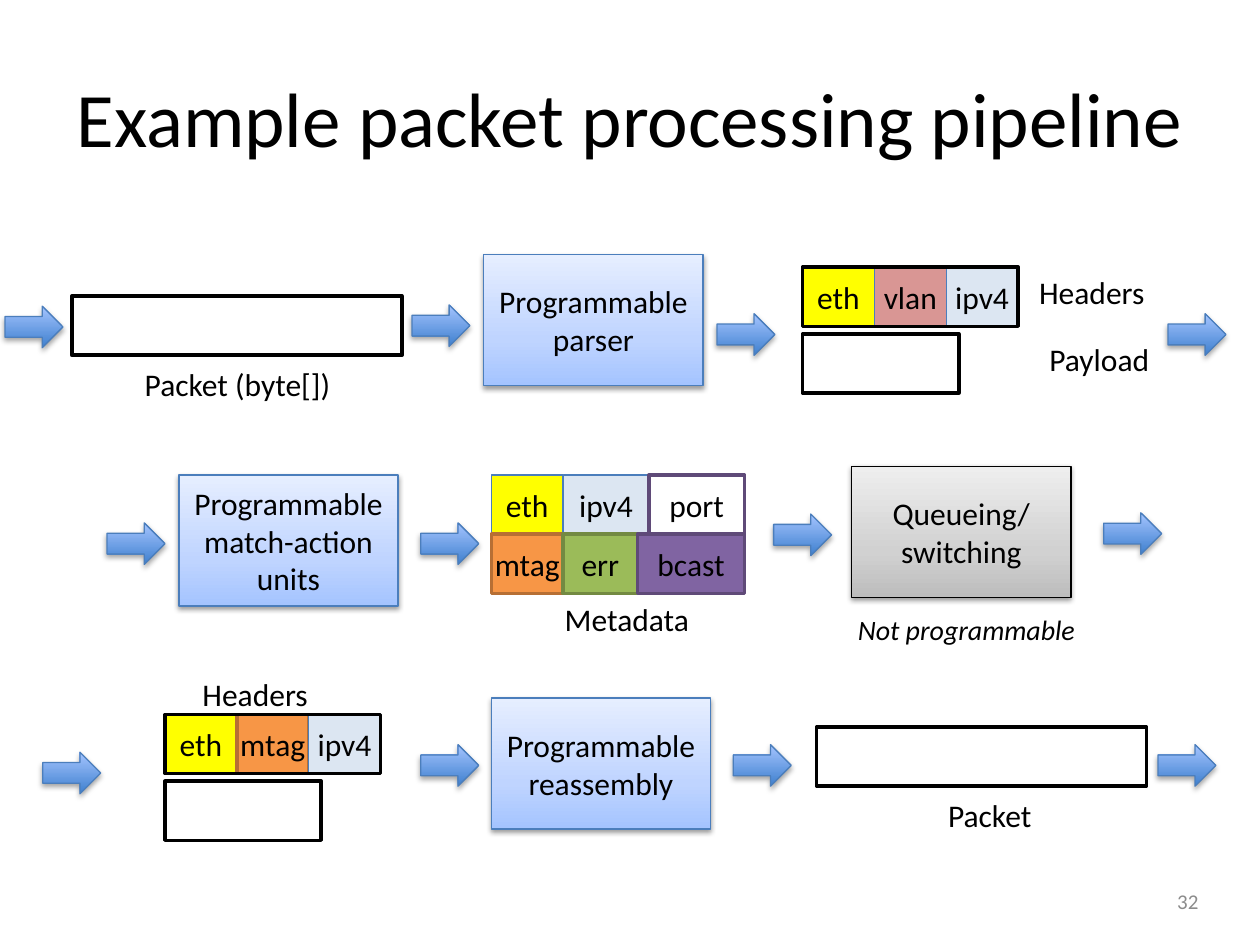
from lxml import etree
from pptx import Presentation
from pptx.dml.color import RGBColor
from pptx.enum.shapes import MSO_SHAPE
from pptx.enum.text import MSO_ANCHOR, PP_ALIGN
from pptx.oxml.ns import qn
from pptx.util import Inches, Pt

RECTANGLE, ARROW = MSO_SHAPE.RECTANGLE, MSO_SHAPE.RIGHT_ARROW
TOP, MIDDLE = MSO_ANCHOR.TOP, MSO_ANCHOR.MIDDLE
LEFT, CENTER, RIGHT = PP_ALIGN.LEFT, PP_ALIGN.CENTER, PP_ALIGN.RIGHT

FONT = "Calibri"
BLACK, WHITE, BLUE_LINE = "000000", "FFFFFF", "4B7EBC"
ARROW_STOPS = [(0, "3F80CE"), (100, "A4C4FF")]
BLUE_STOPS = [(0, "A4C4FF"), (35, "BFD4FF"), (100, "E6EEFF")]
GRAY_STOPS = [(0, "BDBDBD"), (35, "D1D1D1"), (100, "EEEEEE")]
CELL_WIDTH, CELL_HEIGHT = 0.57, 0.47
STAGE_WIDTH, STAGE_HEIGHT = 1.74, 1.04

# Field name: fill, line colour, line width
FIELDS = {
    "eth": ("FFFF00", BLUE_LINE, 0.75),
    "vlan": ("D99694", BLUE_LINE, 0.75),
    "ipv4": ("DCE6F2", BLUE_LINE, 0.75),
    "mtag": ("F79646", "B76F34", 2),
    "err": ("9BBB59", "738A42", 2),
    "bcast": ("8064A2", "5F4A78", 2),
    "port": (None, "5F4A78", 2),
}


def color(value):
    return RGBColor.from_string(value)


def write_text(shape, text, size=18, font_color=BLACK, align=CENTER,
               anchor=MIDDLE, italic=False, wrap=True):
    frame = shape.text_frame
    frame.word_wrap = wrap
    frame.vertical_anchor = anchor
    frame.text = text
    for paragraph in frame.paragraphs:
        paragraph.alignment = align
        font = paragraph.font
        font.name, font.size, font.italic = FONT, Pt(size), italic
        font.color.rgb = color(font_color)


def add_label(slide, left, top, width, height, text, **text_format):
    box = slide.shapes.add_textbox(Inches(left), Inches(top), Inches(width), Inches(height))
    write_text(box, text, **text_format)


def add_caption(slide, left, top, width, text, **text_format):
    add_label(slide, left, top, width, 0.4, text, anchor=TOP, wrap=False, **text_format)


def add_box(slide, left, top, width, height, fill=WHITE, line=BLACK, line_width=2, kind=RECTANGLE):
    shape = slide.shapes.add_shape(kind, Inches(left), Inches(top), Inches(width), Inches(height))
    shape.shadow.inherit = False
    if fill:
        shape.fill.solid()
        shape.fill.fore_color.rgb = color(fill)
    else:
        shape.fill.background()
    shape.line.color.rgb = color(line)
    shape.line.width = Pt(line_width)
    return shape


def set_gradient(shape, stops):
    """Fill from bottom to top with (percent, colour) stops."""
    shape.fill.gradient()
    shape.fill.gradient_angle = 90
    stop_list = shape._element.spPr.find(".//" + qn("a:gsLst"))
    for stop in list(stop_list):
        stop_list.remove(stop)
    for percent, value in stops:
        stop = etree.SubElement(stop_list, qn("a:gs"), pos=str(percent * 1000))
        etree.SubElement(stop, qn("a:srgbClr"), val=value)


def set_shadow(shape, opacity, distance):
    effects = shape._element.spPr.find(qn("a:effectLst"))
    shadow = etree.SubElement(
        effects, qn("a:outerShdw"), blurRad=str(Pt(3.1)), dist=str(Pt(distance)),
        dir="5400000", rotWithShape="0")
    shade = etree.SubElement(shadow, qn("a:srgbClr"), val=BLACK)
    etree.SubElement(shade, qn("a:alpha"), val=str(opacity * 1000))


def add_arrow(slide, left, top):
    arrow = add_box(slide, left, top, 0.46, 0.33, line=BLUE_LINE, line_width=0.75, kind=ARROW)
    set_gradient(arrow, ARROW_STOPS)
    set_shadow(arrow, 35, 1.8)


def add_stage(slide, left, top, text, stops=BLUE_STOPS, line=BLUE_LINE):
    stage = add_box(slide, left, top, STAGE_WIDTH, STAGE_HEIGHT, line=line, line_width=0.75)
    set_gradient(stage, stops)
    set_shadow(stage, 38, 1.6)
    write_text(stage, text)


def add_fields(slide, left, top, fields):
    """Place (name, width) cells side by side."""
    for name, width in fields:
        cell = add_box(slide, left, top, width, CELL_HEIGHT, *FIELDS[name])
        write_text(cell, name, wrap=False)
        left += width


def add_headers_and_payload(slide, left, top, names):
    add_fields(slide, left, top, [(name, CELL_WIDTH) for name in names])
    add_box(slide, left, top, CELL_WIDTH * len(names), CELL_HEIGHT, fill=None)
    add_box(slide, left, top + 0.53, 1.24, CELL_HEIGHT)


def add_metadata(slide, left, top):
    add_fields(slide, left, top, [("eth", CELL_WIDTH), ("ipv4", 0.68), ("port", 0.76)])
    add_fields(slide, left, top + CELL_HEIGHT,
               [("mtag", CELL_WIDTH), ("err", 0.59), ("bcast", 0.85)])
    add_caption(slide, left + 0.47, top + 2 * CELL_HEIGHT, 1.21, "Metadata")


def add_packet(slide, left, top, text, text_left, text_width):
    add_box(slide, left, top, 2.62, CELL_HEIGHT)
    add_caption(slide, left + text_left, top + 0.5, text_width, text)


def add_parsing_row(slide, left, top):
    for x, y in [(0, 0.41), (3.23, 0.4), (5.65, 0.47), (9.23, 0.47)]:
        add_arrow(slide, left + x, top + y)
    add_packet(slide, left + 0.53, top + 0.33, "Packet (byte[])", 0.46, 1.71)
    add_stage(slide, left + 3.8, top, "Programmable\nparser")
    add_headers_and_payload(slide, left + 6.33, top + 0.1, ["eth", "vlan", "ipv4"])
    add_caption(slide, left + 8.1, top + 0.1, 1.05, "Headers")
    add_caption(slide, left + 8.18, top + 0.63, 1.01, "Payload")


def add_matching_row(slide, left, top):
    for x, y in [(0, 0.45), (2.49, 0.45), (5.29, 0.38), (7.91, 0.37)]:
        add_arrow(slide, left + x, top + y)
    add_stage(slide, left + 0.57, top + 0.07, "Programmable\nmatch-action\nunits")
    add_metadata(slide, left + 3.05, top + 0.07)
    add_stage(slide, left + 5.91, top, "Queueing/\nswitching", GRAY_STOPS, BLACK)
    add_caption(slide, left + 5.86, top + 1.11, 1.95, "Not programmable",
                size=16, italic=True, align=LEFT)


def add_reassembly_row(slide, left, top):
    for x, y in [(0, 0.66), (3, 0.6), (5.48, 0.6), (8.85, 0.6)]:
        add_arrow(slide, left + x, top + y)
    add_caption(slide, left + 1.16, top, 1.05, "Headers")
    add_headers_and_payload(slide, left + 0.97, top + 0.36, ["eth", "mtag", "ipv4"])
    add_stage(slide, left + 3.56, top + 0.23, "Programmable\nreassembly")
    add_packet(slide, left + 6.14, top + 0.46, "Packet", 0.93, 0.89)


def main():
    presentation = Presentation()
    presentation.slide_width, presentation.slide_height = Inches(10), Inches(7.5)
    slide = presentation.slides.add_slide(presentation.slide_layouts[6])
    add_label(slide, 0.5, 0.3, 9, 1.25, "Example packet processing pipeline", size=44)
    add_parsing_row(slide, 0.04, 2.02)
    add_matching_row(slide, 0.85, 3.7)
    add_reassembly_row(slide, 0.34, 5.31)
    add_label(slide, 8.57, 6.95, 1.04, 0.4, "32", size=12, font_color="8C8C8C", align=RIGHT)
    presentation.save("out.pptx")


if __name__ == "__main__":
    main()
